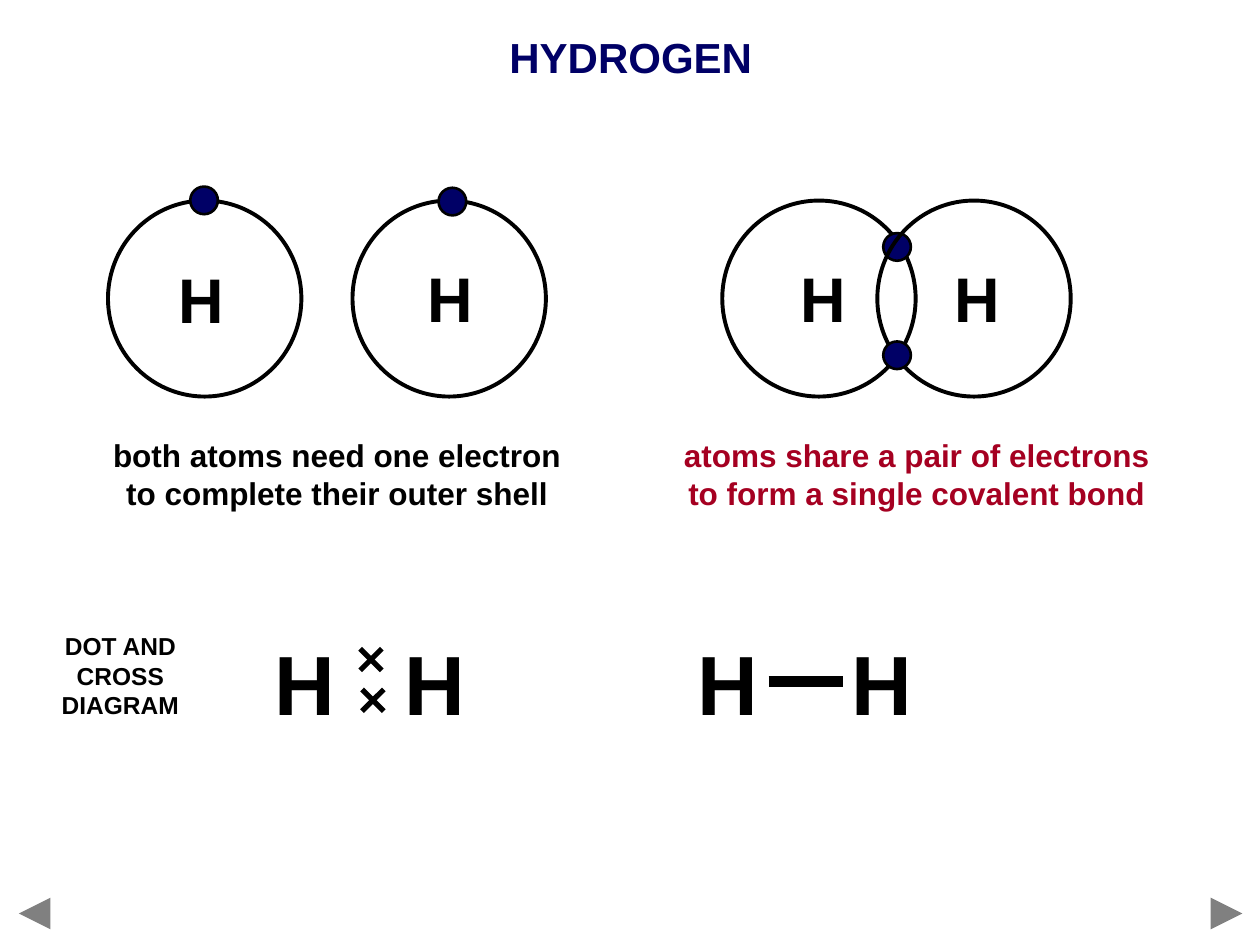
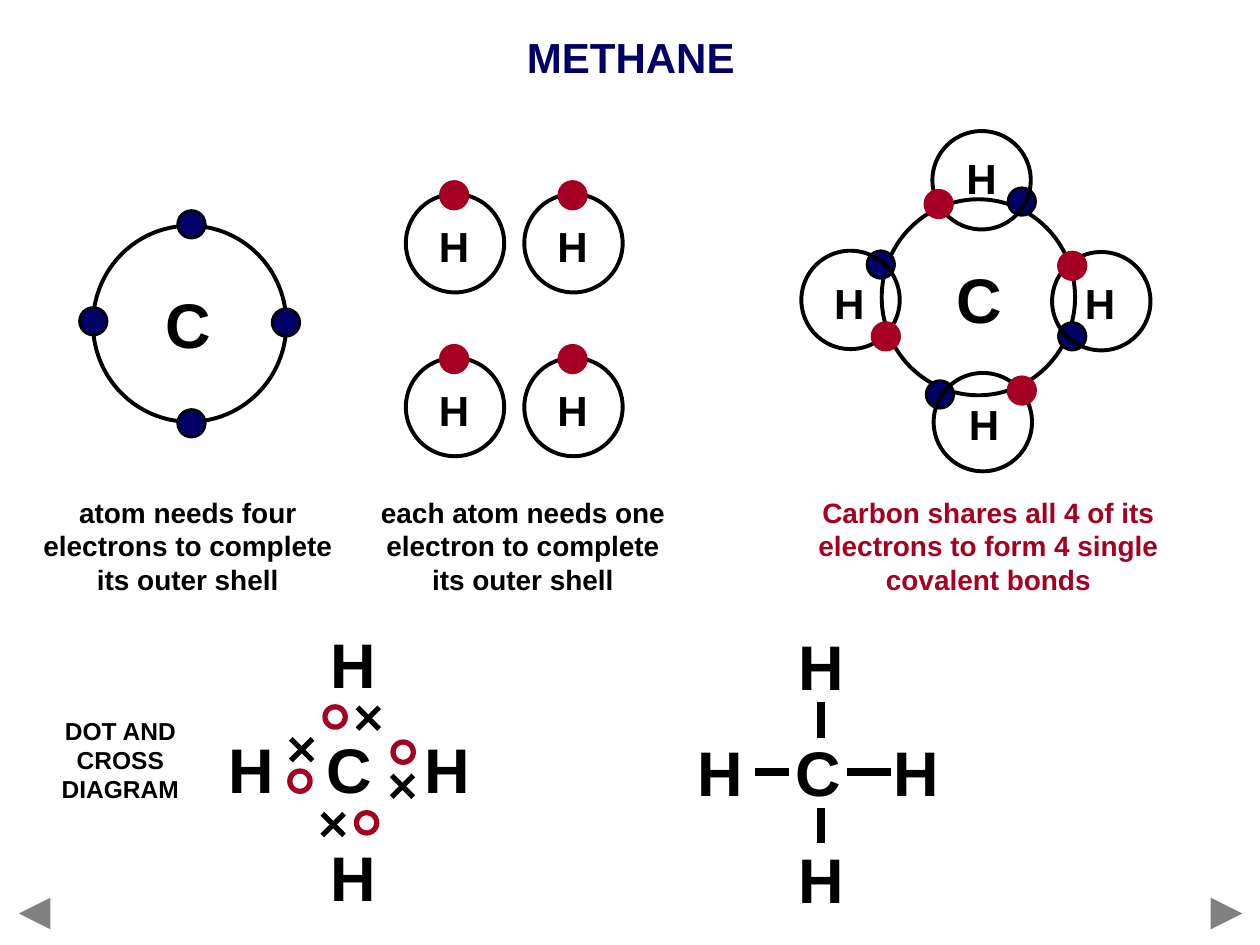
from lxml import etree
from pptx import Presentation
from pptx.dml.color import RGBColor
from pptx.enum.shapes import MSO_CONNECTOR, MSO_SHAPE
from pptx.enum.text import PP_ALIGN
from pptx.oxml.ns import qn
from pptx.util import Pt

OVAL = MSO_SHAPE.OVAL
LINE = MSO_CONNECTOR.STRAIGHT
CENTER = PP_ALIGN.CENTER

FONT = "Arial"
HEX = {"navy": "000066", "red": "A50021", "black": "000000", "grey": "808080"}
RGB = {name: RGBColor.from_string(code) for name, code in HEX.items()}

DISCS = {
    "shell": (110.5, 112, None, "black", 2.25),
    "atom": (56.2, 56.2, None, "black", 2.25),
    "dot": (15.8, 15.8, "navy", "black", 1.5),
    "red dot": (15.8, 15.8, "red", "red", 1.5),
    "open": (11.6, 11.6, None, "red", 3),
}


def text(slide, words, x, top, size, color="black", width=60, rows=1):
    height = rows * size * 1.2 + 7.2
    box = slide.shapes.add_textbox(Pt(x - width / 2), Pt(top), Pt(width), Pt(height))
    frame = box.text_frame
    frame.word_wrap = True
    frame.text = words
    para = frame.paragraphs[0]
    para.alignment = CENTER
    font = para.runs[0].font
    font.name, font.size, font.bold = FONT, Pt(size), True
    font.color.rgb = RGB[color]


def line(slide, x1, y1, x2, y2, width, color="black", arrow=False):
    bar = slide.shapes.add_connector(LINE, Pt(x1), Pt(y1), Pt(x2), Pt(y2))
    bar.line.width = Pt(width)
    bar.line.color.rgb = RGB[color]
    if arrow:
        etree.SubElement(bar.line._get_or_add_ln(), qn("a:tailEnd"), type="triangle")
    etree.SubElement(bar._element.spPr, qn("a:effectLst"))


hydrogen = {
    "title": "HYDROGEN",
    "key top": 357.1,
    "discs": [
        ("shell", 117, 170.6), ("dot", 116.6, 114.5),
        ("shell", 256.7, 170.6), ("dot", 258.5, 115.2),
        ("shell", 468, 170.6), ("dot", 512.6, 141.1),
        ("shell", 556.6, 170.6), ("dot", 512.6, 203),
    ],
    "letters": [
        ("H", 115.2, 145.4, 36), ("H", 257.4, 144.7, 36),
        ("H", 470.2, 144.7, 36), ("H", 558.7, 144.7, 36),
        ("H", 174.3, 357.1, 48), ("H", 248.6, 357.1, 48),
        ("H", 416, 357.1, 48), ("H", 504, 357.1, 48),
    ],
    "notes": [
        ("both atoms need one electron to complete their outer shell",
         192.6, 245.5, 18, "black", 287.3, 2),
        ("atoms share a pair of electrons to form a single covalent bond",
         523.8, 245.5, 18, "red", 287.3, 2),
    ],
    "crosses": [(212, 376.9), (213.1, 400.2)],
    "bonds": [(439.2, 389.5, 481.7, 389.5, 6)],
}

methane = {
    "title": "METHANE",
    "key top": 405.4,
    "discs": [
        ("shell", 559.1, 169.9), ("shell", 108.4, 185),
        ("dot", 163.4, 184.3), ("dot", 53.3, 183.6),
        ("dot", 109.4, 128.2), ("dot", 109.4, 241.9),
        ("dot", 612.7, 192.2), ("dot", 503.3, 151.2),
        ("dot", 583.9, 115.2), ("dot", 537.1, 225.4),
        ("atom", 561.6, 241.2), ("red dot", 583.9, 223.2),
        ("atom", 486, 171.4), ("red dot", 506.2, 192.2),
        ("atom", 560.9, 103), ("red dot", 536.4, 116.6),
        ("atom", 629.3, 172.1), ("red dot", 612.7, 151.9),
        ("open", 209.5, 470.2), ("open", 230.4, 429.8),
        ("open", 191.5, 409.7), ("open", 171.4, 446.4),
    ],
    "letters": [
        ("C", 107.3, 159.8, 36), ("C", 559.4, 145.4, 36),
        ("H", 562.3, 223.9, 24), ("H", 485.3, 154.8, 24),
        ("H", 560.9, 83.5, 24), ("H", 628.6, 154.8, 24),
    ],
    "notes": [
        ("each atom needs one electron to complete its outer shell",
         298.8, 279.4, 16, "black", 193, 3),
        ("atom needs four electrons to complete its outer shell",
         107.3, 279.4, 16, "black", 185.8, 3),
        ("Carbon shares all 4 of its electrons to form 4 single covalent bonds",
         564.8, 279.4, 16, "red", 247, 3),
    ],
    "crosses": [(190.4, 471.2), (230, 449.3), (210.5, 410.4), (172.4, 428.4)],
    "bonds": [
        (483.8, 441.4, 509, 441.4, 4.5), (431.3, 441.4, 450.7, 441.4, 4.5),
        (469.4, 401, 469.4, 421.9, 4.5), (469.4, 461.5, 469.4, 481.7, 4.5),
    ],
}

for x in (260, 327.7):
    for y in (139, 232.6):
        methane["discs"] += [("atom", x, y), ("red dot", x - 0.5, y - 27.4)]
        methane["letters"].append(("H", x - 0.5, y - 16.6, 24))

for x, y in ((199.8, 414), (467.4, 415.5)):
    methane["letters"] += [
        ("H", x - 56, y, 36), ("C", x, y, 36), ("H", x + 56, y, 36),
        ("H", x + 1.8, y - 60.2, 36), ("H", x + 1.8, y + 61.5, 36),
    ]

deck = Presentation()
deck.slide_width, deck.slide_height = Pt(720), Pt(540)

for page in (hydrogen, methane):
    slide = deck.slides.add_slide(deck.slide_layouts[6])
    text(slide, page["title"], 360.4, 14.4, 24, "navy", 414)

    for kind, x, y in page["discs"]:
        wide, high, fill, edge, weight = DISCS[kind]
        disc = slide.shapes.add_shape(
            OVAL, Pt(x - wide / 2), Pt(y - high / 2), Pt(wide), Pt(high))
        disc.shadow.inherit = False
        if fill:
            disc.fill.solid()
            disc.fill.fore_color.rgb = RGB[fill]
        else:
            disc.fill.background()
        disc.line.color.rgb = RGB[edge]
        disc.line.width = Pt(weight)

    for item in page["letters"] + page["notes"]:
        text(slide, *item)
    text(slide, "DOT AND CROSS DIAGRAM", 68.8, page["key top"], 14, "black", 91.4, 3)

    for x, y in page["crosses"]:
        for rise in (-6.2, 6.2):
            line(slide, x - 6.2, y - rise, x + 6.2, y + rise, 3)
    for bond in page["bonds"]:
        line(slide, *bond)

    for start, end in ((694.8, 709.9), (25.9, 10.8)):
        line(slide, start, 522, end, 522, 6, "grey", True)

deck.save("out.pptx")
